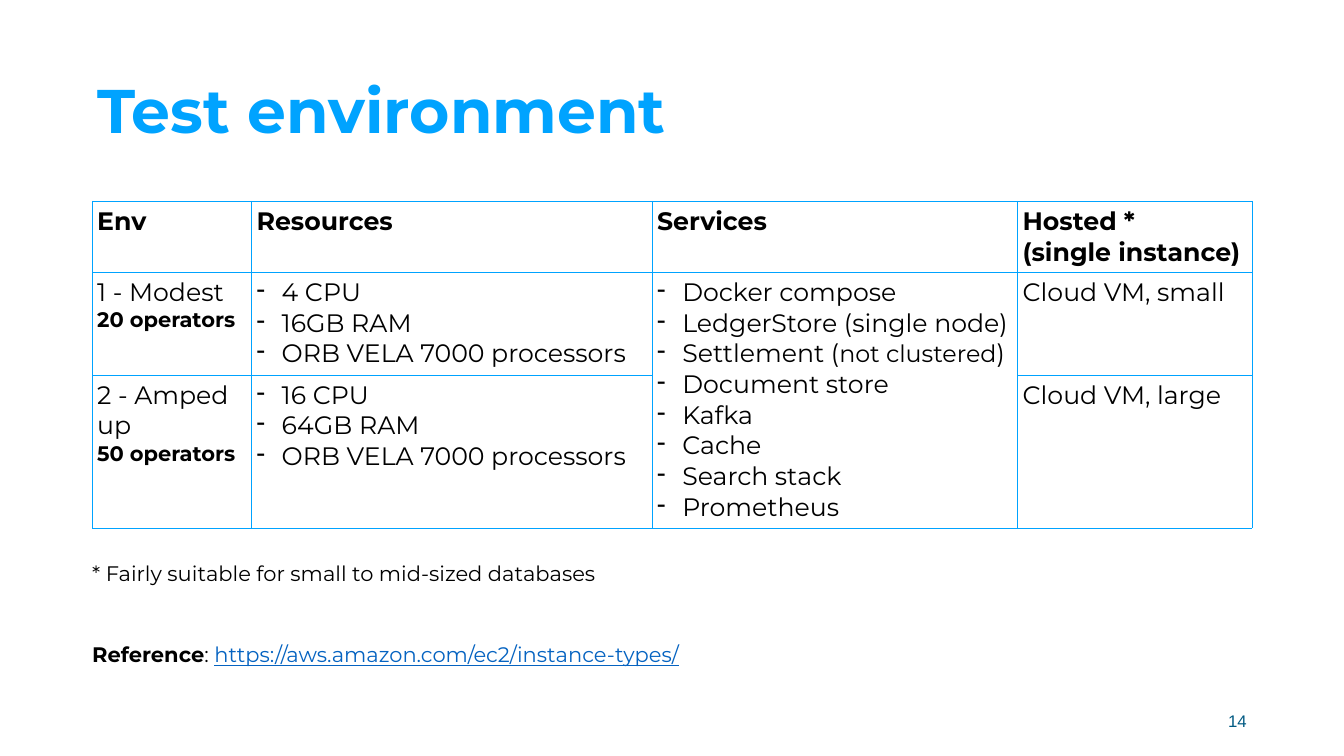
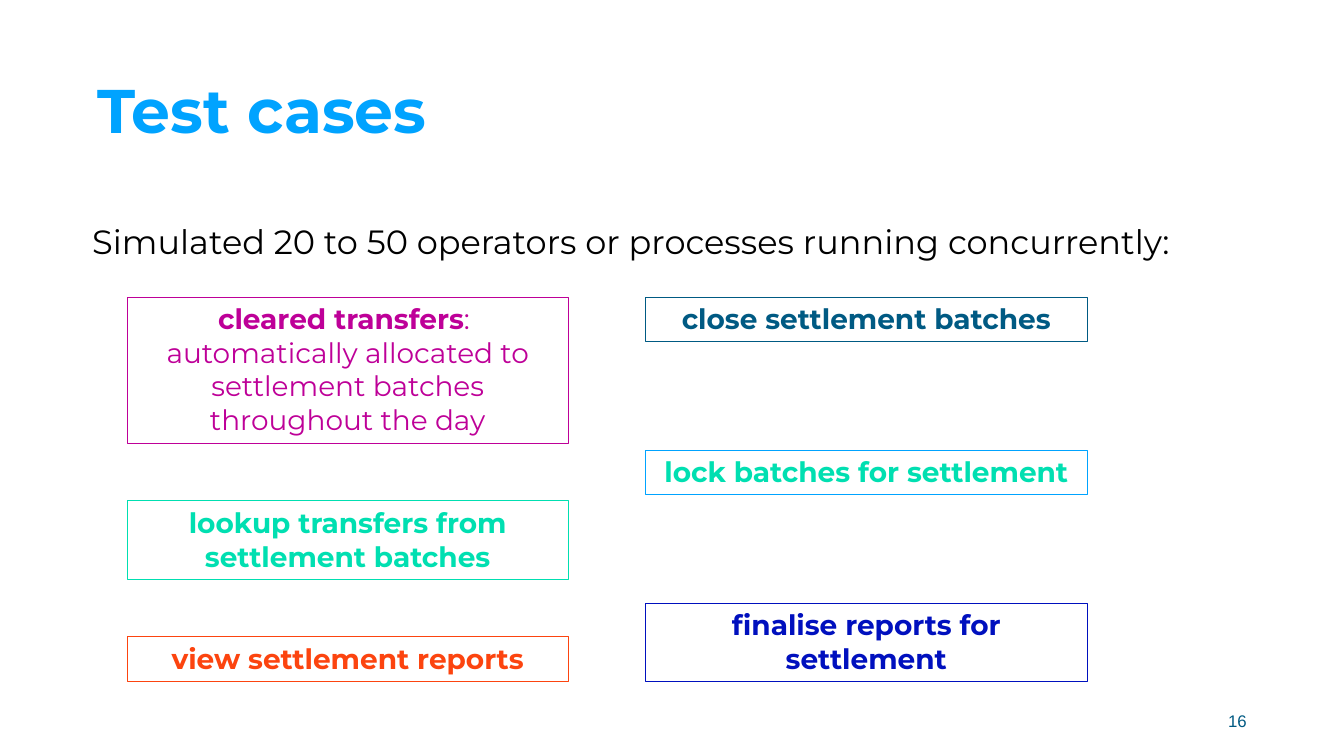
from lxml.etree import SubElement
from pptx import Presentation
from pptx.dml.color import RGBColor
from pptx.enum.shapes import MSO_SHAPE
from pptx.enum.text import MSO_ANCHOR, MSO_AUTO_SIZE, PP_ALIGN
from pptx.oxml.ns import qn
from pptx.util import Cm, Pt

BLUE, NAVY, TEAL = "00A3FF", "005A83", "00DFB1"
BLACK, WHITE, LINK = "000000", "FFFFFF", "0563C1"
MAGENTA, ORANGE, INDIGO = "BE0098", "FC440F", "0010BE"
FONT = "Montserrat"
LEFT, CONTENT_TOP, CONTENT_WIDTH = 4.65, 10.13, 58.42
CONTENT_BOTTOM = 34.32
INSET = 0.25


def write(frame, lines, size, colour, font=FONT, align=None, spacing=None):
    """Write one paragraph per line; **marked** parts are bold, "- " starts a bullet."""
    frame.word_wrap = True
    for index, line in enumerate(lines):
        para = frame.paragraphs[0] if index == 0 else frame.add_paragraph()
        para.alignment = align
        para.line_spacing = spacing
        if line.startswith("- "):
            line = line[2:]
            properties = para._p.get_or_add_pPr()
            properties.set("marL", str(Cm(1.27)))
            properties.set("indent", str(-Cm(1.27)))
            bullet_colour = SubElement(properties, qn("a:buClr"))
            SubElement(bullet_colour, qn("a:srgbClr")).set("val", BLACK)
            SubElement(properties, qn("a:buChar")).set("char", "-")
        for part, text in enumerate(line.split("**")):
            if text:
                span = para.add_run()
                span.text = text
                span.font.name = font
                span.font.size = Pt(size)
                span.font.bold = part % 2 == 1
                span.font.color.rgb = RGBColor.from_string(colour)


def add_text(page, left, top, width, height, inset=(0, 0), anchor=MSO_ANCHOR.TOP):
    frame = page.shapes.add_textbox(Cm(left), Cm(top), Cm(width), Cm(height)).text_frame
    frame.margin_left = frame.margin_right = Cm(inset[0])
    frame.margin_top = frame.margin_bottom = Cm(inset[1])
    frame.vertical_anchor = anchor
    return frame


deck = Presentation()
deck.slide_width, deck.slide_height = Cm(67.74), Cm(38.1)

pages = []
for title, number in (("Test environment", "14"), ("Test cases", "16")):
    page = deck.slides.add_slide(deck.slide_layouts[6])
    heading = add_text(page, LEFT, 2.03, 52.43, 7.37, (INSET, 0.13), MSO_ANCHOR.MIDDLE)
    write(heading, [f"**{title}**"], 88, BLUE, spacing=0.9)
    footer = add_text(page, 47.85, 35.31, 15.24, 2.03, (INSET, 0.13), MSO_ANCHOR.MIDDLE)
    write(footer, [number], 24, NAVY, font="Arial", align=PP_ALIGN.RIGHT)
    pages.append(page)
environment_page, cases_page = pages

# Test environment
column_widths = (8.03, 20.19, 18.42, 11.81)
row_heights = (3.58, 5.18, 7.72)
processors = "- ORB VELA 7000 processors"
services = [
    "- Docker compose",
    "- LedgerStore (single node)",
    "- Settlement (**not clustered**)",
    "- Document store",
    "- Kafka",
    "- Cache",
    "- Search stack",
    "- Prometheus",
]
environments = (
    (["Env"], ["Resources"], ["Services"], ["Hosted *", "(single instance)"]),
    (["1 - Modest", "**20 operators**"], ["- 4 CPU", "- 16GB RAM", processors],
     services, ["Cloud VM, small"]),
    (["2 - Amped up", "**50 operators**"], ["- 16 CPU", "- 64GB RAM", processors],
     [], ["Cloud VM, large"]),
)

table = environment_page.shapes.add_table(
    3, 4, Cm(LEFT), Cm(CONTENT_TOP), Cm(sum(column_widths)), Cm(sum(row_heights))).table
table.first_row = table.horz_banding = False
for column, width in zip(table.columns, column_widths):
    column.width = Cm(width)
for row, height in zip(table.rows, row_heights):
    row.height = Cm(height)

for row_index, entries in enumerate(environments):
    for column_index, lines in enumerate(entries):
        cell = table.cell(row_index, column_index)
        cell.margin_left = cell.margin_right = Cm(INSET)
        cell.margin_top = cell.margin_bottom = Cm(INSET)
        for edge in ("a:lnL", "a:lnR", "a:lnT", "a:lnB"):
            border = SubElement(cell._tc.get_or_add_tcPr(), qn(edge), w=str(Pt(0.75)))
            fill = SubElement(border, qn("a:solidFill"))
            SubElement(fill, qn("a:srgbClr")).set("val", BLUE)
        cell.fill.background()
        write(cell.text_frame, lines, 36, BLACK)
        for para in cell.text_frame.paragraphs:
            for span in para.runs:
                if row_index == 0:
                    span.font.bold = True
                elif span.font.bold and column_index == 0:
                    span.font.size = Pt(30)
                elif span.font.bold:
                    span.font.bold = False
                    span.font.size = Pt(34)
table.cell(1, 2).merge(table.cell(2, 2))

notes = add_text(environment_page, LEFT, 28.48, CONTENT_WIDTH, 5.84)
write(notes, [
    "* Fairly suitable for small to mid-sized databases",
    "**Reference**: ",
], 30, BLACK, spacing=0.8)
reference = notes.paragraphs[1]
reference.space_before = Pt(88)
address = reference.add_run()
address.text = "https://aws.amazon.com/ec2/instance-types/"
address.font.name = FONT
address.font.size = Pt(30)
address.font.underline = True
address.font.color.rgb = RGBColor.from_string(LINK)

# Test cases
intro = add_text(cases_page, LEFT, CONTENT_TOP, CONTENT_WIDTH, 4)
write(intro, ["Simulated 20 to 50 operators or processes running concurrently:"],
      48, BLACK, spacing=1.5)

cases_top = 14.96
case_columns = (
    (6.4, (
        (7.37, MAGENTA, MAGENTA, ["**cleared transfers**: ",
         "automatically allocated to settlement batches throughout the day"]),
        (3.94, TEAL, TEAL, ["**lookup transfers from settlement batches**"]),
        (2.24, ORANGE, ORANGE, ["**view settlement reports**"]),
    )),
    (32.54, (
        (2.24, NAVY, NAVY, ["**close settlement batches**"]),
        (2.24, BLUE, TEAL, ["**lock batches for settlement**"]),
        (3.94, INDIGO, INDIGO, ["**finalise reports for settlement**"]),
    )),
)
for left, cases in case_columns:
    used = sum(case[0] for case in cases)
    gap = (CONTENT_BOTTOM - cases_top - used) / (len(cases) - 1)
    top = cases_top
    for height, line_colour, text_colour, lines in cases:
        box = cases_page.shapes.add_shape(
            MSO_SHAPE.RECTANGLE, Cm(left), Cm(top), Cm(22.25), Cm(height))
        box.shadow.inherit = False
        box.fill.solid()
        box.fill.fore_color.rgb = RGBColor.from_string(WHITE)
        box.line.color.rgb = RGBColor.from_string(line_colour)
        box.line.width = Pt(0.75)
        frame = box.text_frame
        frame.margin_left = frame.margin_right = Cm(INSET)
        frame.margin_top = frame.margin_bottom = Cm(INSET)
        frame.vertical_anchor = MSO_ANCHOR.TOP
        frame.auto_size = MSO_AUTO_SIZE.SHAPE_TO_FIT_TEXT
        write(frame, lines, 40, text_colour, align=PP_ALIGN.CENTER)
        top += height + gap

deck.save("out.pptx")
